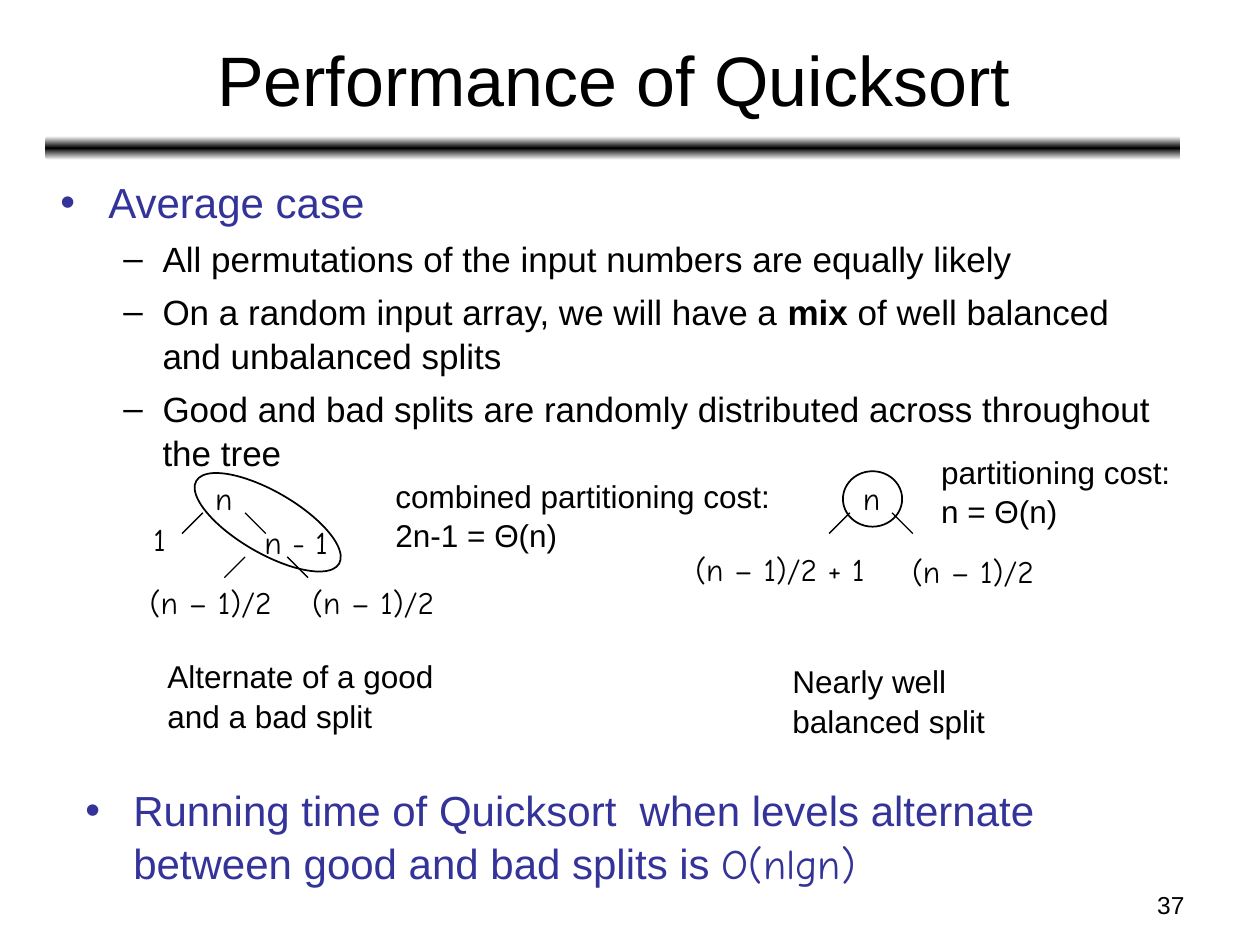
import copy

import pptx
import pptx.dml.color
import pptx.enum.shapes
import pptx.enum.text
import pptx.oxml
import pptx.oxml.ns
import pptx.util

COLUMNS, ROWS = 100, 75
THEME = {
    "black": pptx.dml.color.RGBColor(0, 0, 0),
    "white": pptx.dml.color.RGBColor(255, 255, 255),
    "blue": pptx.dml.color.RGBColor(0x33, 0x33, 0x99),
    "text": "Arial", "formula": "Comic Neue",
    "title": 40, "topic": 24, "point": 20, "label": 18, "number": 14,
}
ALIGN = pptx.enum.text.PP_ALIGN
SHAPES = pptx.enum.shapes.MSO_SHAPE

presentation = pptx.Presentation()
presentation.slide_width = pptx.util.Inches(10)
presentation.slide_height = pptx.util.Inches(7.5)
slide = presentation.slides.add_slide(presentation.slide_layouts[1])


def cells(left, top, width, height):
    """Turn columns and rows of the slide grid into slide lengths."""
    column = presentation.slide_width / COLUMNS
    row = presentation.slide_height / ROWS
    return round(left * column), round(top * row), round(width * column), round(height * row)


def write(frame, text, size="label", font="text", color="black", align=ALIGN.LEFT,
          bullet=None, level=0, indent=(0, 0), before=0, wrap=False, spacing=1.05):
    """Add one paragraph; text is a string or a list of (string, run format)."""
    frame.word_wrap = wrap
    frame.auto_size = pptx.enum.text.MSO_AUTO_SIZE.NONE
    paragraph = frame.paragraphs[0]
    if paragraph.runs:
        paragraph = frame.add_paragraph()
    paragraph.alignment, paragraph.level = align, level
    paragraph.space_before = pptx.util.Pt(before)
    paragraph.line_spacing = spacing
    for words, style in [(text, {})] if isinstance(text, str) else text:
        run = paragraph.add_run()
        run.text = words
        run.font.size = pptx.util.Pt(THEME[size])
        run.font.name = THEME[style.get("font", font)]
        run.font.bold = style.get("bold", False)
        run.font.color.rgb = THEME[color]
    if bullet:
        properties = paragraph._p.get_or_add_pPr()
        margin, hanging = indent
        properties.set("marL", str(pptx.util.Inches(margin)))
        properties.set("indent", str(pptx.util.Inches(hanging)))
        namespace = pptx.oxml.ns.nsdecls("a")
        for mark in (f'<a:buClr {namespace}><a:srgbClr val="{THEME[color]}"/></a:buClr>',
                     f'<a:buFont {namespace} typeface="{THEME["text"]}"/>',
                     f'<a:buChar {namespace} char="{bullet}"/>'):
            properties.append(pptx.oxml.parse_xml(mark))


TOPIC = dict(size="topic", color="blue", bullet="•", indent=(0.38, -0.38), before=6, wrap=True)
POINT = dict(size="point", bullet="–", level=1, indent=(0.81, -0.31), before=5, wrap=True)

# Rule under the title
rule = slide.shapes.add_shape(SHAPES.ROUNDED_RECTANGLE, *cells(3.6, 10.8, 90.1, 1.9))
rule.shadow.inherit = False
rule.line.fill.background()
rule.fill.gradient()
rule.fill.gradient_angle = 90
stop_list = rule._element.find(".//" + pptx.oxml.ns.qn("a:gsLst"))
stop_list.insert(1, copy.deepcopy(stop_list[0]))
for stop, position, color in zip(rule.fill.gradient_stops, (0, 0.5, 1), ("white", "black", "white")):
    stop.position = position
    stop.color.rgb = THEME[color]

# Title, list, conclusion and slide number
title, body = slide.shapes.title, slide.placeholders[1]
title.left, title.top, title.width, title.height = cells(3.7, 1.1, 90, 9.9)
title.text_frame.vertical_anchor = pptx.enum.text.MSO_ANCHOR.MIDDLE
write(title.text_frame, "Performance of Quicksort", size="title", align=ALIGN.CENTER, wrap=True)

body.left, body.top, body.width, body.height = cells(3.8, 13.3, 90, 24.2)
write(body.text_frame, "Average case", **TOPIC)
for point in (
    "All permutations of the input numbers are equally likely",
    [("On a random input array, we will have a ", {}), ("mix", {"bold": True}),
     (" of well balanced and unbalanced splits", {})],
    "Good and bad splits are randomly distributed across throughout the tree",
):
    write(body.text_frame, point, **POINT)

conclusion = slide.shapes.add_textbox(*cells(5.8, 61.6, 90, 9.2))
write(conclusion.text_frame,
      [("Running time of Quicksort  when levels alternate between good and bad splits is ", {}),
       ("O(nlgn)", {"font": "formula"})], **TOPIC)

number = slide.shapes.add_textbox(*cells(71.7, 70, 23.3, 3.5))
write(number.text_frame, "37", size="number", align=ALIGN.RIGHT, wrap=True)

# Captions and costs
for left, top, width, lines in (
    (12.3, 51.5, 23.1, ("Alternate of a good", "and a bad split")),
    (61.9, 51.9, 17.3, ("Nearly well", "balanced split")),
    (30.4, 37.2, 31.7, ("combined partitioning cost:", "2n-1 = Θ(n)")),
    (73.7, 35.3, 20.2, ("partitioning cost:", "n = Θ(n)")),
):
    caption = slide.shapes.add_textbox(*cells(left, top, width, 7))
    for line in lines:
        write(caption.text_frame, line)

# Tree nodes
for left, top, width, formula in (
    (16.1, 37.5, 3.4, "n"), (20, 41, 7, "n - 1"), (11.2, 40.8, 3, "1"),
    (23.8, 45.8, 11.6, "(n – 1)/2"), (10.9, 45.8, 11.6, "(n – 1)/2"),
    (67.5, 37.5, 3.4, "n"), (71.4, 43.3, 11.6, "(n – 1)/2"), (54.2, 43.2, 15.4, "(n – 1)/2 + 1"),
):
    node = slide.shapes.add_textbox(*cells(left, top, width, 4))
    write(node.text_frame, formula, font="formula", spacing=1)

# Each parent has two branches that mirror each other
GAP, REACH = 3.35, 1.65
for left, top in ((16.1, 40.7), (19.45, 44.2), (67.45, 40.7)):
    for start, reach in ((left, -REACH), (left + GAP, REACH)):
        x, y, run_x, run_y = cells(start, top, reach, REACH)
        branch = slide.shapes.add_connector(
            pptx.enum.shapes.MSO_CONNECTOR.STRAIGHT, x, y, x + run_x, y + run_y)
        branch.line.color.rgb = THEME["black"]
        branch.line.width = pptx.util.Pt(0.75)
        branch._element.spPr.append(
            pptx.oxml.parse_xml(f'<a:effectLst {pptx.oxml.ns.nsdecls("a")}/>'))

# Rings around the levels that are counted together
for place, rotation in (((14.7, 39, 13.1, 4.9), 30.1), ((66.9, 37.4, 4.7, 4.4), 0)):
    ring = slide.shapes.add_shape(SHAPES.OVAL, *cells(*place))
    ring.rotation = rotation
    ring.shadow.inherit = False
    ring.fill.background()
    ring.line.color.rgb = THEME["black"]
    ring.line.width = pptx.util.Pt(1)

presentation.save("out.pptx")
